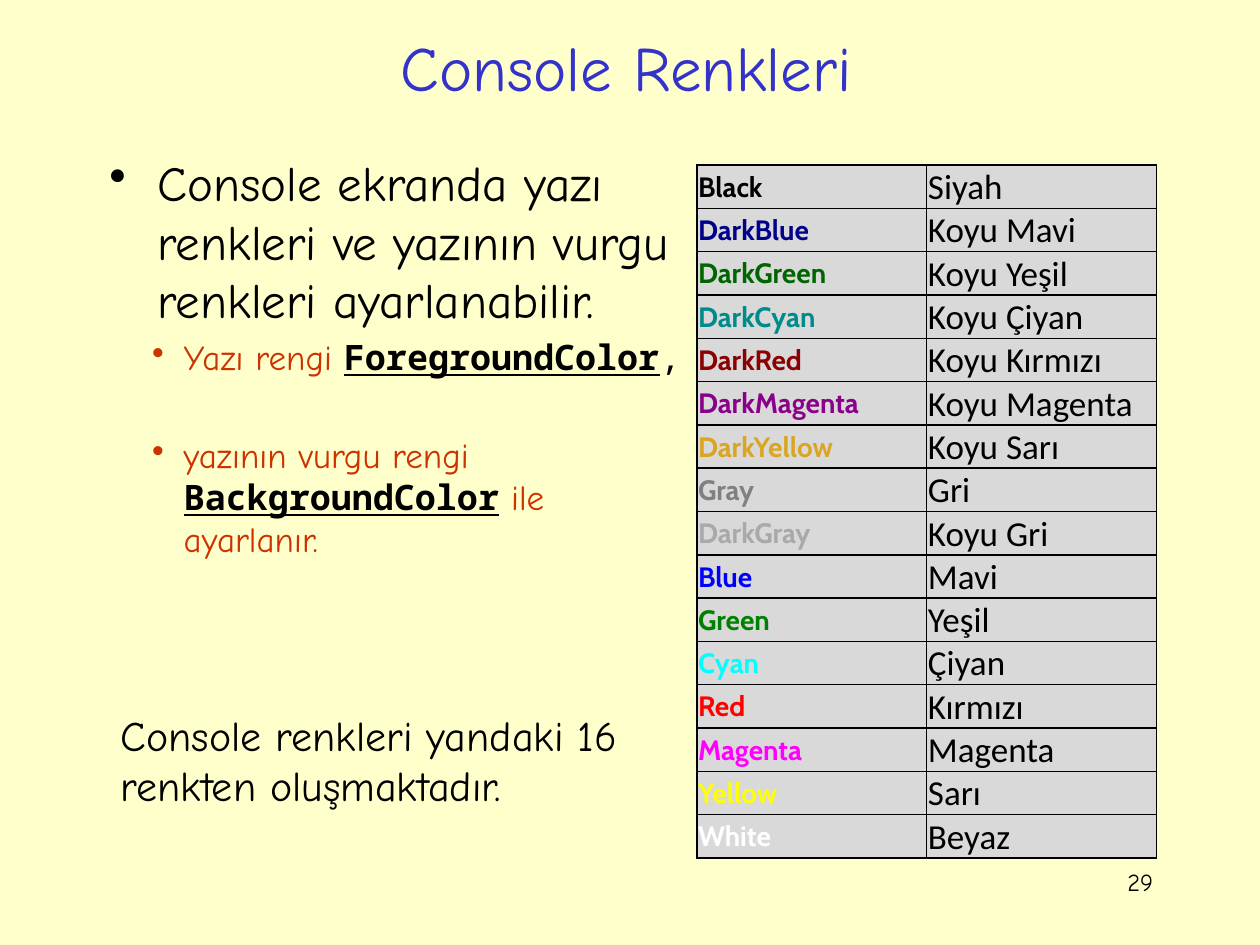
from dataclasses import dataclass
from typing import NamedTuple

from lxml.etree import SubElement
from pptx import Presentation
from pptx.dml.color import RGBColor
from pptx.enum.text import MSO_ANCHOR as Anchor, PP_ALIGN as Align
from pptx.oxml import parse_xml
from pptx.oxml.ns import nsdecls, qn
from pptx.util import Inches, Pt


@dataclass(frozen=True)
class Theme:
    background: str = "FFFFCC"
    title: str = "3333CC"
    text: str = "000000"
    accent: str = "CC3300"
    cell: str = "D9D9D9"
    hand: str = "Comic Neue"
    code: str = "Noto Sans Mono"
    name_font: str = "Cabin"
    meaning_font: str = "Calibri"
    title_size: int = 36
    lead_size: int = 28
    note_size: int = 24
    sub_size: int = 20
    name_size: int = 16
    number_size: int = 14


THEME = Theme()


class Span(NamedTuple):
    text: str
    size: int
    color: str = THEME.text
    font: str = THEME.hand
    bold: bool = False
    underline: bool = False


class Bullet(NamedTuple):
    level: int
    left: float
    hanging: float
    space_before: float
    spans: list[Span]


class Label(NamedTuple):
    left: float
    top: float
    width: float
    height: float
    align: Align
    span: Span


class ConsoleColor(NamedTuple):
    name: str
    meaning: str
    color: str


def code(text: str) -> Span:
    return Span(text, THEME.sub_size, font=THEME.code, bold=True, underline=True)


def accent(text: str) -> Span:
    return Span(text, THEME.sub_size, THEME.accent)


BULLETS = [
    Bullet(0, 0.38, 0.38, 5.6, [
        Span("Console ekranda yazı renkleri ve yazının vurgu renkleri ayarlanabilir.", THEME.lead_size),
    ]),
    Bullet(1, 0.59, 0.25, 4, [
        accent("Yazı rengi "),
        code("ForegroundColor"),
        Span(",", THEME.sub_size, font=THEME.code),
    ]),
    Bullet(1, 0.59, 0.25, 32, [
        accent("yazının vurgu rengi "),
        code("BackgroundColor"),
        accent(" ile ayarlanır."),
    ]),
]

LABELS = [
    Label(7.17, 6.83, 2.08, 0.5, Align.RIGHT, Span("29", THEME.number_size)),
    Label(0.86, 5.58, 4.17, 0.91, Align.LEFT,
          Span("Console renkleri yandaki 16 renkten oluşmaktadır.", THEME.note_size)),
]

COLORS = [
    ConsoleColor("Black", "Siyah", "000000"),
    ConsoleColor("DarkBlue", "Koyu Mavi", "00008B"),
    ConsoleColor("DarkGreen", "Koyu Yeşil", "006400"),
    ConsoleColor("DarkCyan", "Koyu Çiyan", "008B8B"),
    ConsoleColor("DarkRed", "Koyu Kırmızı", "8B0000"),
    ConsoleColor("DarkMagenta", "Koyu Magenta", "8B008B"),
    ConsoleColor("DarkYellow", "Koyu Sarı", "DAA520"),
    ConsoleColor("Gray", "Gri", "808080"),
    ConsoleColor("DarkGray", "Koyu Gri", "A9A9A9"),
    ConsoleColor("Blue", "Mavi", "0000FF"),
    ConsoleColor("Green", "Yeşil", "008000"),
    ConsoleColor("Cyan", "Çiyan", "00FFFF"),
    ConsoleColor("Red", "Kırmızı", "FF0000"),
    ConsoleColor("Magenta", "Magenta", "FF00FF"),
    ConsoleColor("Yellow", "Sarı", "FFFF00"),
    ConsoleColor("White", "Beyaz", "FFFFFF"),
]


def add_span(para, span: Span) -> None:
    run = para.add_run()
    run.text = span.text
    font = run.font
    font.name, font.size = span.font, Pt(span.size)
    font.bold, font.underline = span.bold, span.underline
    font.color.rgb = RGBColor.from_string(span.color)


def add_box(page, left: float, top: float, width: float, height: float):
    box = page.shapes.add_textbox(Inches(left), Inches(top), Inches(width), Inches(height))
    box.text_frame.word_wrap = True
    return box


def add_label(page, label: Label) -> None:
    box = add_box(page, label.left, label.top, label.width, label.height)
    para = box.text_frame.paragraphs[0]
    para.alignment = label.align
    add_span(para, label.span)


def add_bullets(page, bullets: list[Bullet]) -> None:
    frame = add_box(page, 0.77, 1.16, 4.76, 4.4).text_frame
    for index, bullet in enumerate(bullets):
        para = frame.add_paragraph() if index else frame.paragraphs[0]
        para.level = bullet.level
        para.space_before = Pt(bullet.space_before)
        properties = para._p.get_or_add_pPr()
        properties.set("marL", str(Inches(bullet.left)))
        properties.set("indent", str(-Inches(bullet.hanging)))
        SubElement(properties, qn("a:buChar")).set("char", "•")
        for span in bullet.spans:
            add_span(para, span)


def fill_cell(cell, span: Span, anchor: Anchor) -> None:
    cell.margin_left = cell.margin_right = cell.margin_top = Inches(0.01)
    cell.margin_bottom = 0
    cell.vertical_anchor = anchor
    cell.fill.solid()
    cell.fill.fore_color.rgb = RGBColor.from_string(THEME.cell)
    properties = cell._tc.get_or_add_tcPr()
    for index, side in enumerate("LRTB"):
        properties.insert(index, parse_xml(
            f'<a:ln{side} {nsdecls("a")} w="{Pt(1)}"><a:solidFill>'
            f'<a:srgbClr val="{THEME.text}"/></a:solidFill></a:ln{side}>'))
    add_span(cell.text_frame.paragraphs[0], span)


def add_color_table(page, colors: list[ConsoleColor]) -> None:
    height = Inches(5.5)
    table = page.shapes.add_table(
        len(colors), 2, Inches(5.53), Inches(1.31), Inches(3.65), height).table
    table.first_row = table.horz_banding = False
    for row, entry in zip(table.rows, colors):
        row.height = height // len(colors)
        name, meaning = row.cells
        fill_cell(name, Span(entry.name, THEME.name_size, entry.color, THEME.name_font, True),
                  Anchor.MIDDLE)
        fill_cell(meaning, Span(entry.meaning, THEME.sub_size, font=THEME.meaning_font),
                  Anchor.BOTTOM)


def add_title(page, span: Span) -> None:
    title = page.shapes.title
    title.left, title.top = Inches(0.72), Inches(0.15)
    title.width, title.height = Inches(8.5), Inches(0.76)
    title.text_frame.vertical_anchor = Anchor.MIDDLE
    para = title.text_frame.paragraphs[0]
    para.alignment = Align.CENTER
    add_span(para, span)


deck = Presentation()
deck.slide_width, deck.slide_height = Inches(10), Inches(7.5)
page = deck.slides.add_slide(deck.slide_layouts[5])
page.background.fill.solid()
page.background.fill.fore_color.rgb = RGBColor.from_string(THEME.background)
add_title(page, Span("Console Renkleri", THEME.title_size, THEME.title))
add_bullets(page, BULLETS)
for label in LABELS:
    add_label(page, label)
add_color_table(page, COLORS)
deck.save("out.pptx")
